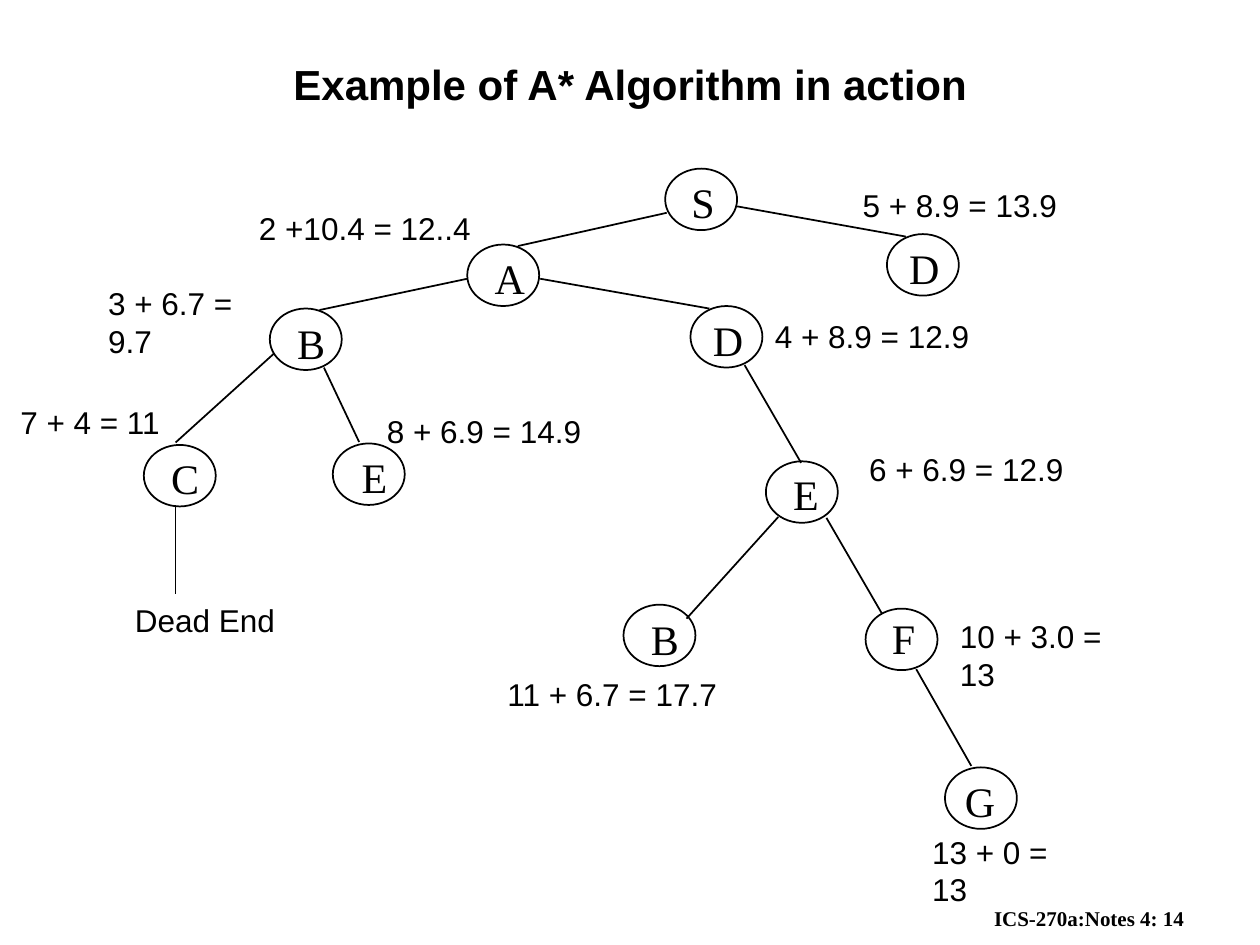
from collections import namedtuple
from dataclasses import dataclass

from lxml.etree import SubElement
from pptx import Presentation
from pptx.dml.color import RGBColor
from pptx.enum.shapes import MSO_CONNECTOR as Connector, MSO_SHAPE as Shape
from pptx.enum.text import MSO_ANCHOR as Anchor, MSO_AUTO_SIZE as AutoSize, PP_ALIGN as Align
from pptx.oxml.ns import qn
from pptx.util import Cm, Pt


@dataclass(frozen=True)
class Theme:
    """Colours, fonts and type sizes of the deck."""
    ink: RGBColor = RGBColor(0, 0, 0)
    paper: RGBColor = RGBColor(255, 255, 255)
    sans: str = "Arial"
    serif: str = "Times New Roman"
    large: int = 24
    label: int = 18
    footer: int = 12
    line: int = 1


THEME = Theme()
Box = namedtuple("Box", "left top width height")
Node = namedtuple("Node", "letter left top letter_dx letter_dy cost cost_dx cost_dy cost_width")
Edge = namedtuple("Edge", "parent start child end")

NODE_WIDTH, NODE_HEIGHT = 1.45, 1.24
LETTER_HEIGHT, LABEL_HEIGHT = 1.27, 1.02
LETTER_WIDTHS = {"S": 0.97, "F": 0.97, "E": 1.02, "B": 1.07, "C": 1.07,
                 "A": 1.12, "D": 1.12, "G": 1.12}

NODES = {
    "S": Node("S", 13.41, 0, 0.28, 0.03, "", 0, 0, 0),
    "SA": Node("A", 9.42, 1.53, 0.3, 0.03, "2 +10.4 = 12..4", -4.45, -0.84, 4.78),
    "SD": Node("D", 17.88, 1.32, 0.2, 0.05, "5 + 8.9 = 13.9", -0.74, -1.09, 4.42),
    "SAB": Node("B", 5.44, 2.82, 0.3, 0.05, "3 + 6.7 = 9.7", -3.51, -0.61, 4.06),
    "SAD": Node("D", 13.92, 2.77, 0.2, 0.05, "4 + 8.9 = 12.9", 1.45, 0.1, 4.42),
    "SABC": Node("C", 2.9, 5.57, 0.3, 0.03, "7 + 4 = 11", -2.74, -0.97, 3.35),
    "SABE": Node("E", 6.71, 5.54, 0.33, 0.03, "8 + 6.9 = 14.9", 0.84, -0.76, 4.42),
    "SADE": Node("E", 15.44, 5.9, 0.3, 0.03, "6 + 6.9 = 12.9", 1.83, -0.36, 4.42),
    "SADEB": Node("B", 12.57, 8.79, 0.3, 0.05, "11 + 6.7 = 17.7", -2.59, 1.3, 4.78),
    "SADEF": Node("F", 17.45, 8.87, 0.28, -0.05, "10 + 3.0 = 13", 1.65, 0.05, 4.24),
    "SADEFG": Node("G", 19.05, 12.07, 0.15, 0.03, "13 + 0 = 13", -0.51, 1.19, 3.71),
}
EDGES = [
    Edge("S", (0.03, 0.89), "SA", (1.02, 0.03)),
    Edge("S", (1.45, 0.76), "SD", (0.38, 0.05)),
    Edge("SA", (0, 0.69), "SAB", (1, 0.03)),
    Edge("SA", (1.47, 0.69), "SAD", (0.38, 0.05)),
    Edge("SAB", (0.08, 0.91), "SABC", (0.64, -0.05)),
    Edge("SAB", (1.09, 1.19), "SABE", (0.53, -0.03)),
    Edge("SABC", (0.64, 1.22), "SABC", (0.64, 3)),
    Edge("SAD", (1.09, 1.19), "SADE", (0.71, 0.03)),
    Edge("SADE", (0.25, 1.12), "SADEB", (1.27, 0.28)),
    Edge("SADE", (1.22, 1.14), "SADEF", (0.33, 0.1)),
    Edge("SADEF", (1.02, 1.22), "SADEFG", (0.53, -0.03)),
]


def style_text(frame, font, size, bold=False):
    """Format every run of a text frame."""
    for para in frame.paragraphs:
        for span in para.runs:
            span.font.name = font
            span.font.size = Pt(size)
            span.font.bold = bold
            span.font.color.rgb = THEME.ink


def add_text(page, box, text, font, size, bold=False):
    """Add a single-line text box."""
    frame = page.shapes.add_textbox(*map(Cm, box)).text_frame
    frame.text = text
    frame.word_wrap = False
    frame.auto_size = AutoSize.SHAPE_TO_FIT_TEXT
    style_text(frame, font, size, bold)


def add_edge(page, start, end):
    """Draw a plain straight line between two points."""
    edge = page.shapes.add_connector(Connector.STRAIGHT, *map(Cm, start + end))
    edge.line.color.rgb = THEME.ink
    edge.line.width = Pt(THEME.line)
    SubElement(edge.element.spPr, qn("a:effectLst"))


def add_node(page, left, top, node):
    """Draw a node with its letter and cost label at the given corner."""
    oval = page.shapes.add_shape(
        Shape.OVAL, *map(Cm, (left, top, NODE_WIDTH, NODE_HEIGHT)))
    oval.shadow.inherit = False
    oval.fill.background()
    oval.line.color.rgb = THEME.ink
    oval.line.width = Pt(THEME.line)
    letter_box = Box(left + node.letter_dx, top + node.letter_dy,
                     LETTER_WIDTHS[node.letter], LETTER_HEIGHT)
    add_text(page, letter_box, node.letter, THEME.serif, THEME.large)
    if node.cost:
        cost_box = Box(left + node.cost_dx, top + node.cost_dy, node.cost_width, LABEL_HEIGHT)
        add_text(page, cost_box, node.cost, THEME.sans, THEME.label)


def place_title(page, box, text):
    """Fill and position the title placeholder."""
    title = page.shapes.title
    title.left, title.top, title.width, title.height = map(Cm, box)
    frame = title.text_frame
    frame.text = text
    frame.auto_size = AutoSize.NONE
    frame.vertical_anchor = Anchor.MIDDLE
    frame.paragraphs[0].alignment = Align.CENTER
    style_text(frame, THEME.sans, THEME.large, True)


def place_tree(page, box):
    """Draw the search tree inside its box."""
    corners = {path: (box.left + node.left, box.top + node.top)
               for path, node in NODES.items()}

    def port(name, offset):
        """Return a point relative to the corner of a node."""
        return tuple(corner + shift for corner, shift in zip(corners[name], offset))

    for edge in EDGES:
        add_edge(page, port(edge.parent, edge.start), port(edge.child, edge.end))
    for name, node in NODES.items():
        add_node(page, *corners[name], node)
    dead_end = Box(*port("SABC", (-0.43, 3.02)), 3.33, LABEL_HEIGHT)
    add_text(page, dead_end, "Dead End", THEME.sans, THEME.label)


def place_footer(page, box):
    """Add the course note and page number."""
    add_text(page, box, "ICS-270a:Notes 4: 14", THEME.serif, THEME.footer, True)


def main():
    """Build and save the slide."""
    deck = Presentation()
    deck.slide_width, deck.slide_height = Cm(25.4), Cm(19.05)
    page = deck.slides.add_slide(deck.slide_layouts[5])
    page.background.fill.solid()
    page.background.fill.fore_color.rgb = THEME.paper
    place_title(page, Box(1.91, 0.84, 21.59, 1.7), "Example of A* Algorithm in action")
    place_tree(page, Box(0, 3.4, 25.4, 14.3))
    place_footer(page, Box(19.79, 18.14, 5.84, 0.76))
    deck.save("out.pptx")


if __name__ == "__main__":
    main()
